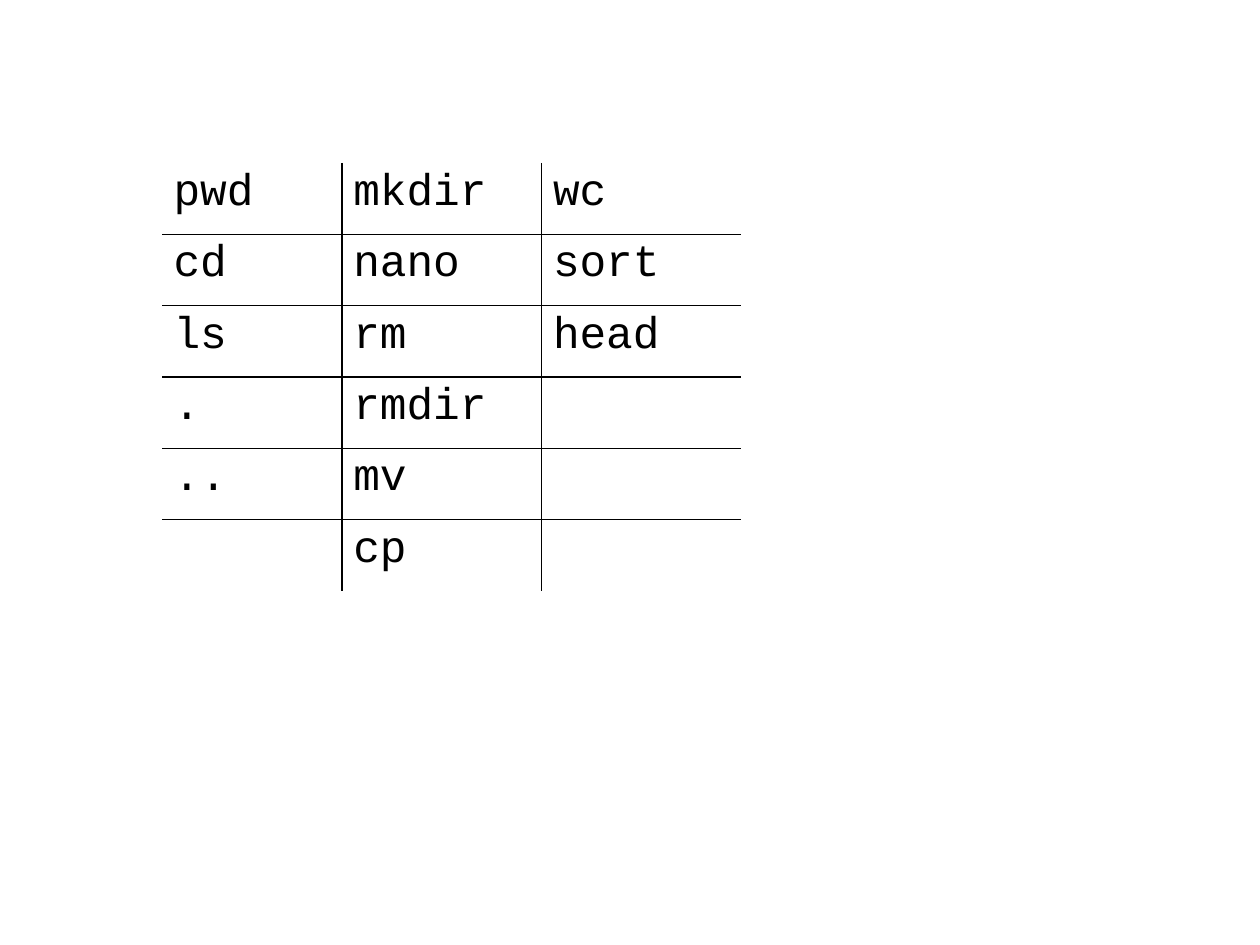
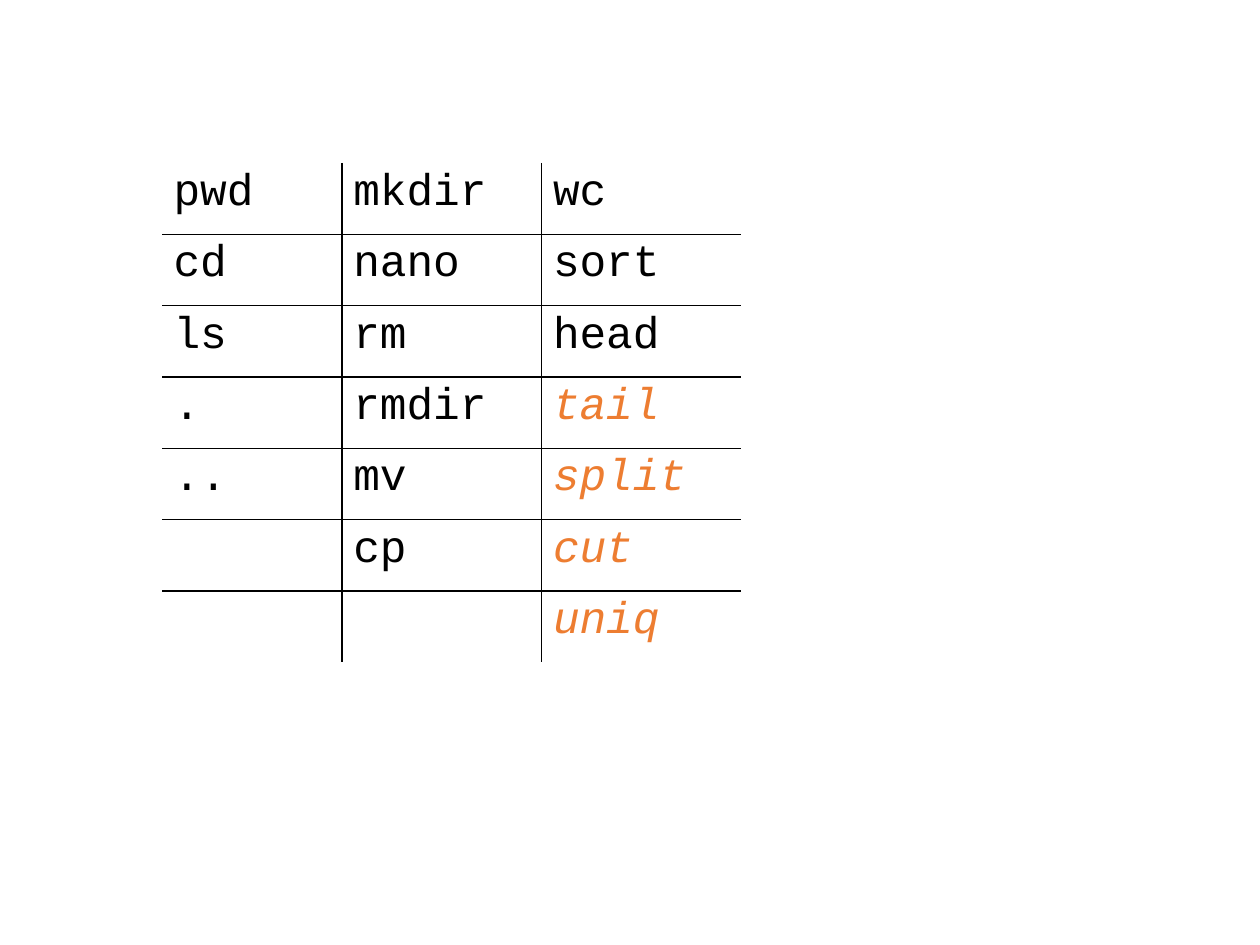
from lxml.etree import SubElement
from pptx import Presentation
from pptx.dml.color import RGBColor
from pptx.oxml.ns import qn
from pptx.util import Pt

BLACK = RGBColor(0x00, 0x00, 0x00)
ORANGE = RGBColor(0xED, 0x7D, 0x31)
FONT = "Courier New"
FONT_SIZE = Pt(28)
SLIDE_WIDTH, SLIDE_HEIGHT = Pt(793.7), Pt(595.28)
TABLE_LEFT, TABLE_TOP = Pt(102.2), Pt(102.6)
COLUMN_WIDTHS = (Pt(113.2), Pt(125.8), Pt(125.8))
ROW_HEIGHT = Pt(44.95)
BORDER_WIDTH = Pt(1)
PLAIN_TABLE_STYLE = "{2D5ABB26-0587-4C30-8999-92F81FD0307C}"

NAVIGATION = ("pwd", "cd", "ls", ".", "..")
FILES = ("mkdir", "nano", "rm", "rmdir", "mv", "cp")
TEXT_TOOLS = ("wc", "sort", "head")
NEW_TOOLS = ("tail", "split", "cut", "uniq")


def write_text(cell, text, color=BLACK, italic=False):
    paragraph = cell.text_frame.paragraphs[0]
    paragraph.line_spacing = 0.93
    paragraph.space_after = Pt(14.2)
    run = paragraph.add_run()
    run.text = text
    run.font.name = FONT
    run.font.size = FONT_SIZE
    run.font.color.rgb = color
    run.font.italic = italic


def draw_borders(cell, visible_sides):
    properties = cell._tc.get_or_add_tcPr()
    for side, visible in visible_sides.items():
        line = SubElement(properties, qn(f"a:ln{side}"), w=str(BORDER_WIDTH))
        if visible:
            fill = SubElement(line, qn("a:solidFill"))
            SubElement(fill, qn("a:srgbClr"), val=str(BLACK))
        else:
            SubElement(line, qn("a:noFill"))


def add_command_table(slide, left, top, columns, new_commands=()):
    row_count = max(len(commands) for commands in columns)
    column_count = len(columns)
    table = slide.shapes.add_table(
        row_count, column_count, left, top, sum(COLUMN_WIDTHS), ROW_HEIGHT * row_count
    ).table
    table.first_row = False
    table.horz_banding = False
    table._tbl.tblPr.find(qn("a:tableStyleId")).text = PLAIN_TABLE_STYLE
    for column, width in zip(table.columns, COLUMN_WIDTHS):
        column.width = width
    for row in table.rows:
        row.height = ROW_HEIGHT

    for column_index, commands in enumerate(columns):
        for row_index in range(row_count):
            cell = table.cell(row_index, column_index)
            draw_borders(cell, {
                "L": column_index > 0,
                "R": column_index < column_count - 1,
                "T": row_index > 0,
                "B": row_index < row_count - 1,
            })
            cell.fill.background()
            if row_index < len(commands):
                command = commands[row_index]
                is_new = command in new_commands
                write_text(cell, command, color=ORANGE if is_new else BLACK, italic=is_new)


def add_command_slide(presentation, text_tools, new_commands=()):
    slide = presentation.slides.add_slide(presentation.slide_layouts[6])
    columns = (NAVIGATION, FILES, text_tools)
    add_command_table(slide, TABLE_LEFT, TABLE_TOP, columns, new_commands)


def main():
    presentation = Presentation()
    presentation.slide_width = SLIDE_WIDTH
    presentation.slide_height = SLIDE_HEIGHT
    add_command_slide(presentation, TEXT_TOOLS)
    add_command_slide(presentation, TEXT_TOOLS + NEW_TOOLS, NEW_TOOLS)
    presentation.save("out.pptx")


if __name__ == "__main__":
    main()
